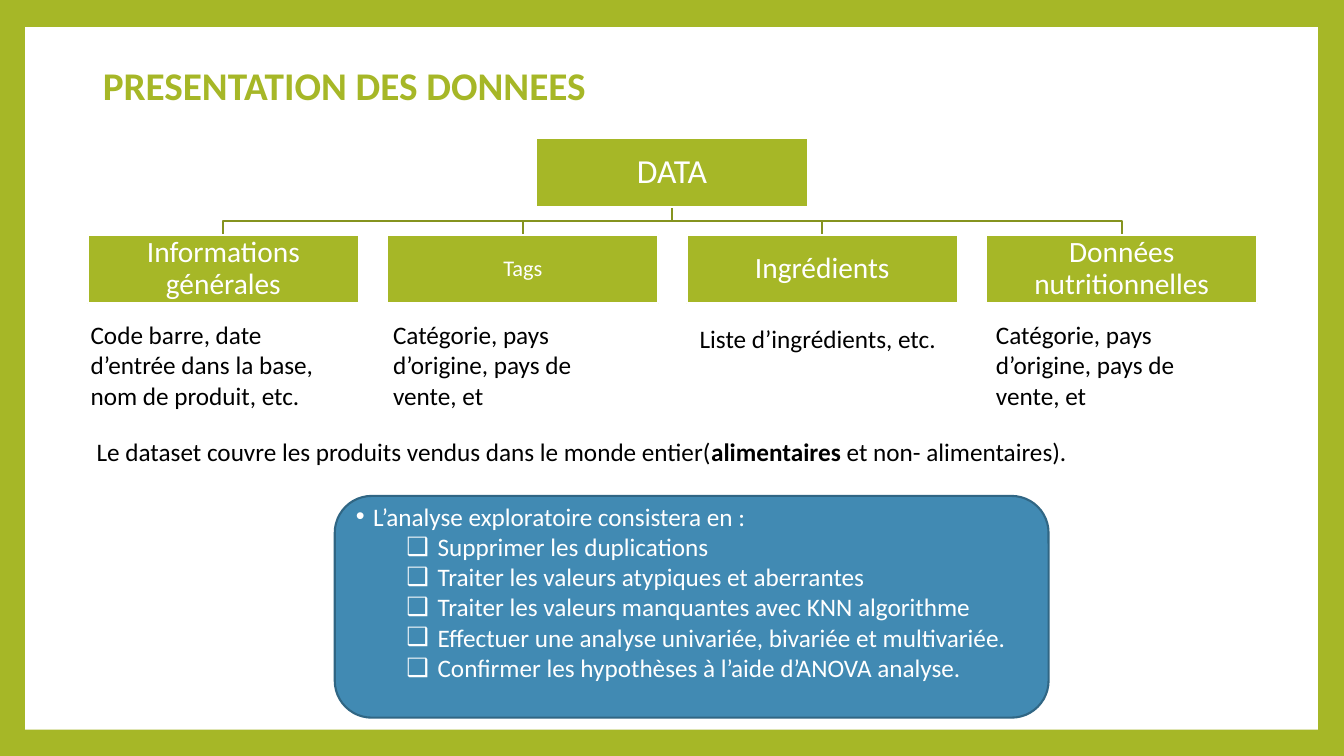
from dataclasses import dataclass

from lxml import etree
from pptx import Presentation
from pptx import util as u
from pptx.dml.color import RGBColor
from pptx.enum import shapes, text
from pptx.oxml import ns

GREEN, DARK_GREEN, BLUE, DARK_BLUE = "A6B727", "85931F", "418AB3", "306684"
WHITE, BLACK = "FFFFFF", "000000"
NODE_WIDTH, NODE_HEIGHT = 2.69, 0.68
ROOT_LEFT, ROOT_TOP = 5.32, 1.37
BRANCH_LEFT, BRANCH_TOP, BRANCH_PITCH = 0.87, 2.33, 2.97


@dataclass
class Branch:
    label: str
    size: int
    detail: str
    detail_left: float
    detail_top: float = 3.12
    detail_height: float = 1.01


ORIGIN = "Catégorie, pays d’origine, pays de vente, et"
BRANCHES = [
    Branch("Informations générales", 21,
           "Code barre, date d’entrée dans la base, nom de produit, etc.", 0.8),
    Branch("Tags", 16, ORIGIN, 3.8),
    Branch("Ingrédients", 21, "Liste d’ingrédients, etc.", 6.84, 3.16, 0.4),
    Branch("Données nutritionnelles", 21, ORIGIN, 9.78),
]
STEPS = [
    "Supprimer les duplications",
    "Traiter les valeurs atypiques et aberrantes",
    "Traiter les valeurs manquantes avec KNN algorithme",
    "Effectuer une analyse univariée, bivariée et multivariée.",
    "Confirmer les hypothèses à l’aide d’ANOVA analyse.",
]


def colour(value: str) -> RGBColor:
    return RGBColor.from_string(value)


def apply(target, **values) -> None:
    for name, value in values.items():
        setattr(target, name, value)


def place(box, left: float, top: float, width: float, height: float) -> None:
    apply(box, left=u.Inches(left), top=u.Inches(top),
          width=u.Inches(width), height=u.Inches(height))


def write(para, content: str, size: float, ink: str, bold: bool = False) -> None:
    span = para.add_run()
    span.text = content
    apply(span.font, name="Calibri", size=u.Pt(size), bold=bold)
    span.font.color.rgb = colour(ink)


def add_box(page, kind, left: float, top: float, width: float, height: float,
            fill: str, line: str | None = None):
    box = page.shapes.add_shape(kind, *map(u.Inches, (left, top, width, height)))
    box.shadow.inherit = False
    box.fill.solid()
    box.fill.fore_color.rgb = colour(fill)
    if line:
        box.line.color.rgb = colour(line)
        box.line.width = u.Pt(1.5)
    else:
        box.line.fill.background()
    return box


def add_node(page, label: str, size: int, left: float, top: float) -> None:
    node = add_box(page, shapes.MSO_SHAPE.RECTANGLE, left, top,
                   NODE_WIDTH, NODE_HEIGHT, GREEN, WHITE)
    inset = u.Inches(0.01)
    apply(node.text_frame, word_wrap=True, vertical_anchor=text.MSO_ANCHOR.MIDDLE,
          margin_left=inset, margin_right=inset, margin_top=inset, margin_bottom=inset)
    para = node.text_frame.paragraphs[0]
    apply(para, alignment=text.PP_ALIGN.CENTER, line_spacing=0.9)
    write(para, label, size, WHITE)


def add_link(page, branch_left: float) -> None:
    start, end = ROOT_LEFT + NODE_WIDTH / 2, branch_left + NODE_WIDTH / 2
    top = ROOT_TOP + NODE_HEIGHT
    middle = (top + BRANCH_TOP) / 2
    points = [(start, middle), (end, middle), (end, BRANCH_TOP)]
    outline = page.shapes.build_freeform(u.Inches(start), u.Inches(top))
    outline.add_line_segments([(u.Inches(x), u.Inches(y)) for x, y in points], close=False)
    link = outline.convert_to_shape()
    link.shadow.inherit = False
    link.fill.background()
    link.line.color.rgb = colour(DARK_GREEN)
    link.line.width = u.Pt(1.5)


def add_text(page, left: float, top: float, width: float, height: float):
    box = page.shapes.add_textbox(*map(u.Inches, (left, top, width, height)))
    box.text_frame.word_wrap = True
    return box.text_frame.paragraphs[0]


def add_bullet(para, mark: str, margin: float, hang: float) -> None:
    properties = para._p.get_or_add_pPr()
    properties.set("marL", str(u.Inches(margin)))
    properties.set("indent", str(-u.Inches(hang)))
    etree.SubElement(properties, ns.qn("a:buChar")).set("char", mark)


def main() -> None:
    deck = Presentation()
    apply(deck, slide_width=u.Inches(13.33), slide_height=u.Inches(7.5))
    page = deck.slides.add_slide(deck.slide_layouts[1])
    title, body = page.placeholders

    # Green border around the white page
    page.background.fill.solid()
    page.background.fill.fore_color.rgb = colour(GREEN)
    sheet = add_box(page, shapes.MSO_SHAPE.RECTANGLE, 0.25, 0.27, 12.82, 6.97, WHITE)
    title._element.addprevious(sheet._element)

    # Title
    place(title, 0.78, 0.38, 10.8, 0.86)
    apply(title.text_frame, word_wrap=True, auto_size=text.MSO_AUTO_SIZE.NONE,
          vertical_anchor=text.MSO_ANCHOR.MIDDLE,
          margin_left=u.Inches(0.24), margin_top=u.Inches(0.18))
    heading = title.text_frame.paragraphs[0]
    apply(heading, alignment=text.PP_ALIGN.LEFT, line_spacing=0.9)
    write(heading, "PRESENTATION DES DONNEES", 28, GREEN, True)

    # Data tree
    lefts = [BRANCH_LEFT + BRANCH_PITCH * index for index in range(len(BRANCHES))]
    for left in lefts:
        add_link(page, left)
    add_node(page, "DATA", 24, ROOT_LEFT, ROOT_TOP)
    for branch, left in zip(BRANCHES, lefts):
        add_node(page, branch.label, branch.size, left, BRANCH_TOP)
        detail = add_text(page, branch.detail_left, branch.detail_top,
                          2.62, branch.detail_height)
        write(detail, branch.detail, 18, BLACK)

    # Scope of the dataset
    scope = add_text(page, 0.86, 4.28, 11.62, 0.4)
    write(scope, "Le dataset couvre les produits vendus dans le monde entier(", 18, BLACK)
    write(scope, "alimentaires", 18, BLACK, True)
    write(scope, " et non- alimentaires).", 18, BLACK)

    # Analysis steps on the blue panel
    panel = add_box(page, shapes.MSO_SHAPE.ROUNDED_RECTANGLE,
                    3.32, 4.92, 7.08, 2.2, BLUE, DARK_BLUE)
    panel._element.addnext(body._element)
    place(body, 3.43, 4.92, 6.86, 2.2)
    apply(body.text_frame, word_wrap=True, auto_size=text.MSO_AUTO_SIZE.NONE,
          vertical_anchor=text.MSO_ANCHOR.MIDDLE, margin_bottom=u.Inches(0.35))
    intro = body.text_frame.paragraphs[0]
    add_bullet(intro, "•", 0.17, 0.17)
    write(intro, "L’analyse exploratoire consistera en :", 18, WHITE)
    for step in STEPS:
        para = body.text_frame.add_paragraph()
        para.level = 1
        add_bullet(para, "❑", 0.81, 0.31)
        write(para, step, 18, WHITE)
    for para in body.text_frame.paragraphs:
        apply(para, alignment=text.PP_ALIGN.LEFT, space_before=u.Pt(0))

    deck.save("out.pptx")


if __name__ == "__main__":
    main()
